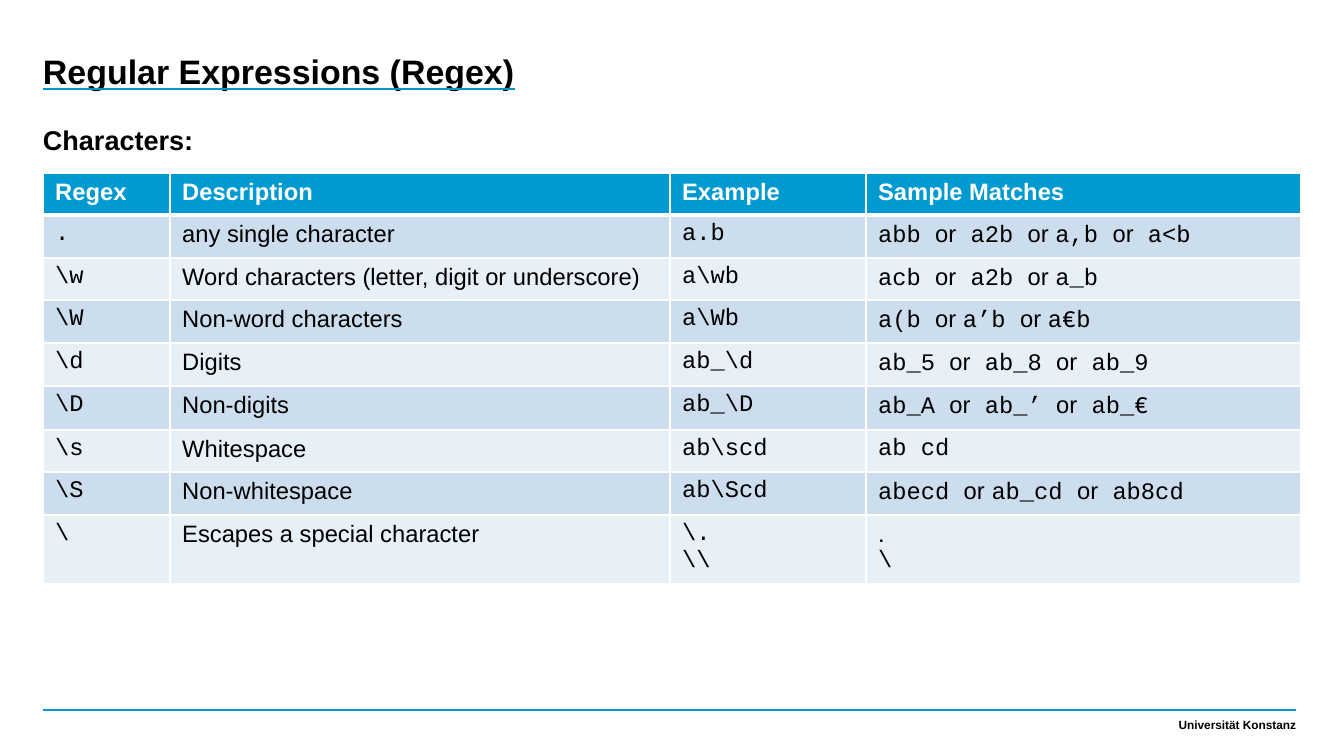
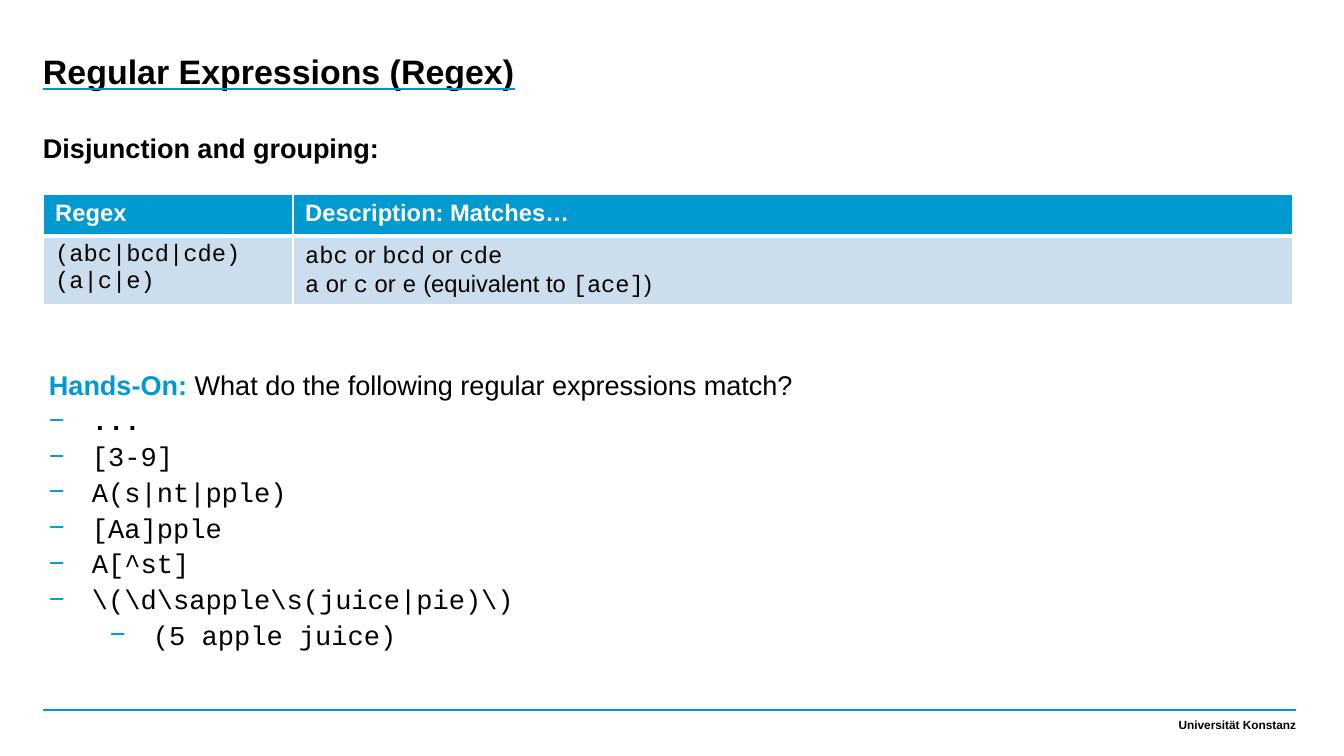
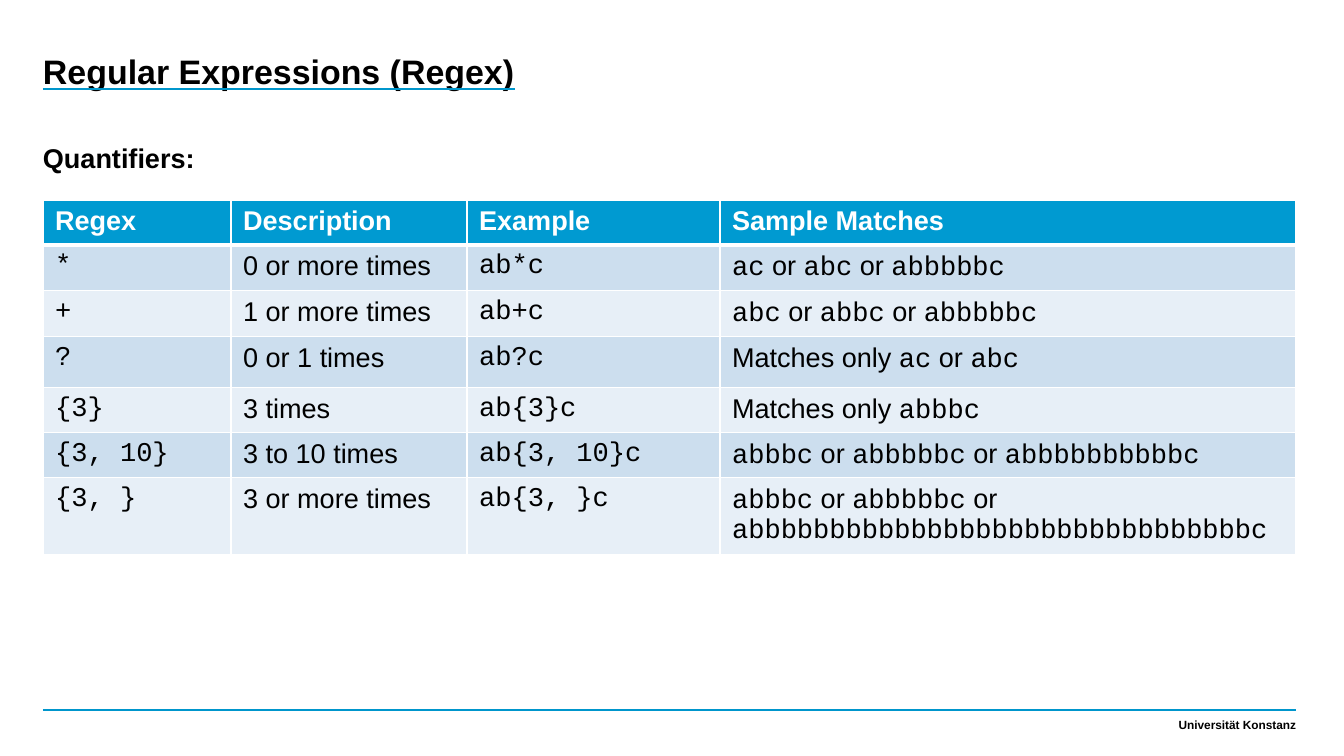
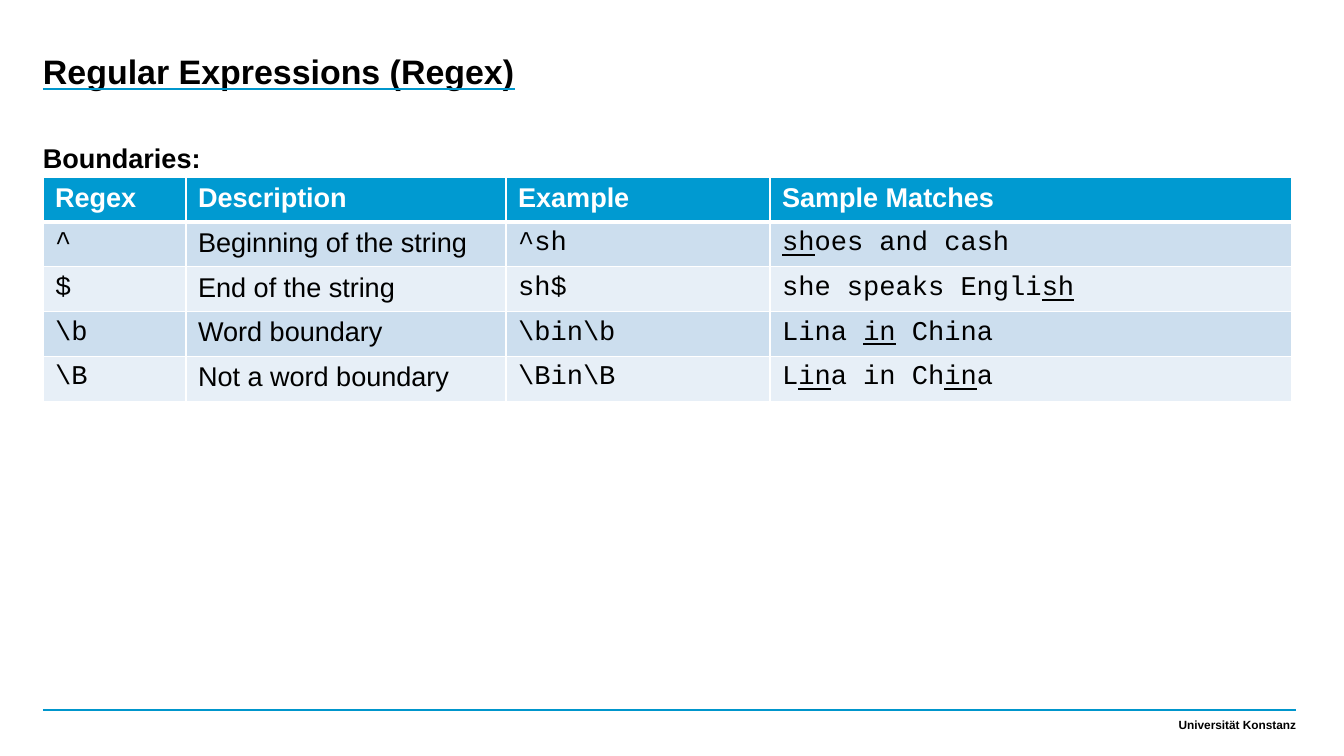
from lxml.etree import SubElement
from pptx import Presentation
from pptx.dml.color import RGBColor
from pptx.enum.shapes import MSO_CONNECTOR
from pptx.enum.text import MSO_ANCHOR, PP_ALIGN
from pptx.oxml import parse_xml
from pptx.oxml.ns import nsdecls, qn
from pptx.util import Pt

SCALE = 914400 / 122  # EMU per pixel
WIDTH, HEIGHT = 1344, 756
LEFT, RIGHT = 43, 1296
FOOTER_TOP = 710
COLORS = {
    "text": "000000",
    "white": "FFFFFF",
    "rule": "0096CC",
    "accent": "009AD1",
    "odd_row": "CCDEEE",
    "even_row": "E7EFF7",
}
SANS, MONO = "Arial", "Courier New"
# Inline marks that switch a style on and off
MARKS = {"`": "code", "~": "underline", "°": "bold"}


def px(pixels):
    return round(pixels * SCALE)


def rgb(name):
    return RGBColor.from_string(COLORS[name])


# Text
def add_run(paragraph, text, size, color="text", code=False, bold=False, underline=False):
    run = paragraph.add_run()
    run.text = text
    font = run.font
    font.size = Pt(size)
    font.bold = bold
    font.underline = underline
    font.color.rgb = rgb(color)
    font.name = MONO if code else SANS
    return run


def add_marked_text(paragraph, text, size):
    style = {name: False for name in MARKS.values()}
    piece = ""
    for character in text:
        if character not in MARKS:
            piece += character
            continue
        if piece:
            add_run(paragraph, piece, size, **style)
        piece = ""
        style[MARKS[character]] = not style[MARKS[character]]
    if piece:
        add_run(paragraph, piece, size, **style)


def add_text_frame(slide, left, top, width, height, bottom_inset=0):
    frame = slide.shapes.add_textbox(px(left), px(top), px(width), px(height)).text_frame
    frame.word_wrap = True
    frame.margin_left = frame.margin_top = frame.margin_right = 0
    frame.margin_bottom = px(bottom_inset)
    return frame


def add_bullet(paragraph, indent, hanging):
    properties = paragraph._p.get_or_add_pPr()
    properties.set("marL", str(px(indent)))
    properties.set("indent", str(-px(hanging)))
    color = SubElement(properties, qn("a:buClr"))
    SubElement(color, qn("a:srgbClr"), val=COLORS["accent"])
    SubElement(properties, qn("a:buFont"), typeface=SANS)
    SubElement(properties, qn("a:buChar"), char="−")


# Parts shared by all slides
def add_title(slide, text):
    paragraph = add_text_frame(slide, LEFT, 54, 845, 106).paragraphs[0]
    paragraph.line_spacing = 0.95
    run = add_run(paragraph, text, 20, bold=True, underline=True)
    underline_fill = parse_xml(
        f'<a:uFill {nsdecls("a")}><a:solidFill>'
        f'<a:srgbClr val="{COLORS["rule"]}"/></a:solidFill></a:uFill>'
    )
    run._r.rPr.find(qn("a:latin")).addprevious(underline_fill)


def add_footer(slide):
    rule = slide.shapes.add_connector(
        MSO_CONNECTOR.STRAIGHT, px(LEFT), px(FOOTER_TOP), px(RIGHT), px(FOOTER_TOP)
    )
    rule.line.color.rgb = rgb("rule")
    rule.line.width = Pt(1)
    SubElement(rule._element.spPr, qn("a:effectLst"))

    frame = add_text_frame(slide, RIGHT - 317, FOOTER_TOP, 317, 29, bottom_inset=7)
    frame.vertical_anchor = MSO_ANCHOR.BOTTOM
    paragraph = frame.paragraphs[0]
    paragraph.alignment = PP_ALIGN.RIGHT
    add_run(paragraph, "Universität Konstanz", 7, bold=True)


def add_regex_slide(presentation, heading, heading_top):
    slide = presentation.slides.add_slide(presentation.slide_layouts[6])
    add_footer(slide)
    add_title(slide, "Regular Expressions (Regex)")
    paragraph = add_text_frame(slide, LEFT, heading_top, 1133, 40).paragraphs[0]
    paragraph.line_spacing = 1.1
    add_run(paragraph, heading, 16, bold=True)
    return slide


# Tables
def style_cell(cell, fill, bottom_width):
    cell.fill.solid()
    cell.fill.fore_color.rgb = rgb(fill)
    properties = cell._tc.get_or_add_tcPr()
    widths = {"lnL": 1, "lnR": 1, "lnT": 1, "lnB": bottom_width}
    for position, (side, width) in enumerate(widths.items()):
        border = parse_xml(
            f'<a:{side} {nsdecls("a")} w="{Pt(width)}"><a:solidFill>'
            f'<a:srgbClr val="{COLORS["white"]}"/></a:solidFill></a:{side}>'
        )
        properties.insert(position, border)


def add_regex_table(slide, top, widths, heights, size, header, rows):
    table = slide.shapes.add_table(
        len(heights), len(widths), px(LEFT), px(top), px(sum(widths)), px(sum(heights))
    ).table
    table.horz_banding = False
    for column, width in zip(table.columns, widths):
        column.width = px(width)
    for row, height in zip(table.rows, heights):
        row.height = px(height)

    for cell, text in zip(table.rows[0].cells, header):
        style_cell(cell, "accent", 3)
        add_run(cell.text_frame.paragraphs[0], text, size, "white", bold=True)
    for number, texts in enumerate(rows, 1):
        for cell, text in zip(table.rows[number].cells, texts):
            style_cell(cell, "odd_row" if number % 2 else "even_row", 1)
            frame = cell.text_frame
            for index, line in enumerate(text.split("\n")):
                paragraph = frame.add_paragraph() if index else frame.paragraphs[0]
                add_marked_text(paragraph, line, size)


def add_hands_on(slide, question, expressions, answer):
    frame = add_text_frame(slide, 49, 365, 1133, 300)
    paragraph = frame.paragraphs[0]
    paragraph.line_spacing = 1.1
    add_run(paragraph, "Hands-On: ", 16, "accent", bold=True)
    add_run(paragraph, question, 16)
    items = [(text, 1, 43) for text in expressions] + [(answer, 2, 104)]
    for text, level, indent in items:
        paragraph = frame.add_paragraph()
        paragraph.level = level
        paragraph.line_spacing = 1.1
        add_bullet(paragraph, indent, 43)
        add_marked_text(paragraph, text, 16)


# Content
HEADER = ["Regex", "Description", "Example", "Sample Matches"]
CHARACTERS = [
    ["`.`", "any single character", "`a.b`", "`abb `or` a2b `or `a,b `or` a<b`"],
    ["`\\w`", "Word characters (letter, digit or underscore)", "`a\\wb`",
     "`acb `or` a2b `or `a_b`"],
    ["`\\W`", "Non-word characters", "`a\\Wb`", "`a(b `or `a’b `or `a€b`"],
    ["`\\d`", "Digits", "`ab_\\d`", "`ab_5 `or` ab_8 `or` ab_9`"],
    ["`\\D`", "Non-digits", "`ab_\\D`", "`ab_A `or` ab_’ `or` ab_€`"],
    ["`\\s`", "Whitespace", "`ab\\scd`", "`ab cd`"],
    ["`\\S`", "Non-whitespace", "`ab\\Scd`", "`abecd `or `ab_cd `or` ab8cd`"],
    ["`\\`", "Escapes a special character", "`\\.`\n`\\\\`", ".\n`\\`"],
]
GROUPING = [
    ["`(abc|bcd|cde)`\n`(a|c|e)`",
     "`abc` or `bcd` or `cde`\n`a` or `c` or `e` (equivalent to `[ace]`)"],
]
EXPRESSIONS = [
    "`°...°`", "`[3-9]`", "`A(s|nt|pple)`", "`[Aa]pple`", "`A[^st]`",
    "`\\(\\d\\sapple\\s(juice|pie)\\)`",
]
QUANTIFIERS = [
    ["`*`", "0 or more times", "`ab*c`", "`ac` or `abc` or `abbbbbc`"],
    ["`+`", "1 or more times", "`ab+c`", "`abc` or `abbc` or `abbbbbc`"],
    ["`?`", "0 or 1 times", "`ab?c`", "Matches only `ac` or `abc`"],
    ["`{3}`", "3 times", "`ab{3}c`", "Matches only `abbbc`"],
    ["`{3, 10}`", "3 to 10 times", "`ab{3, 10}c`", "`abbbc` or `abbbbbc` or `abbbbbbbbbbc`"],
    ["`{3, }`", "3 or more times", "`ab{3, }c`",
     "`abbbc` or `abbbbbc` or `abbbbbbbbbbbbbbbbbbbbbbbbbbbbbbbc`"],
]
BOUNDARIES = [
    ["`^`", "Beginning of the string", "`^sh`", "`~sh~oes and cash`"],
    ["`$`", "End of the string", "`sh$`", "`she speaks Engli~sh~`"],
    ["`\\b`", "Word boundary", "`\\bin\\b`", "`Lina ~in~ China`"],
    ["`\\B`", "Not a word boundary", "`\\Bin\\B`", "`L~in~a in Ch~in~a`"],
]


def main():
    presentation = Presentation()
    presentation.slide_width = px(WIDTH)
    presentation.slide_height = px(HEIGHT)

    slide = add_regex_slide(presentation, "Characters:", 120)
    add_regex_table(slide, 173, [127, 500, 196, 435],
                    [42, 43, 42, 43, 43, 44, 42, 43, 66], 14, HEADER, CHARACTERS)

    slide = add_regex_slide(presentation, "Disjunction and grouping:", 128)
    add_regex_table(slide, 194, [250, 1000], [42, 68], 14,
                    ["Regex", "Description: Matches…"], GROUPING)
    add_hands_on(slide, "What do the following regular expressions match?",
                 EXPRESSIONS, "`(5 apple juice)`")

    slide = add_regex_slide(presentation, "Quantifiers:", 138)
    add_regex_table(slide, 200, [188, 236, 253, 576],
                    [43, 46, 46, 51, 45, 45, 75], 16, HEADER, QUANTIFIERS)

    slide = add_regex_slide(presentation, "Boundaries:", 138)
    add_regex_table(slide, 177, [143, 320, 264, 522],
                    [42, 45, 42, 43, 46], 16, HEADER, BOUNDARIES)

    presentation.save("out.pptx")


main()
